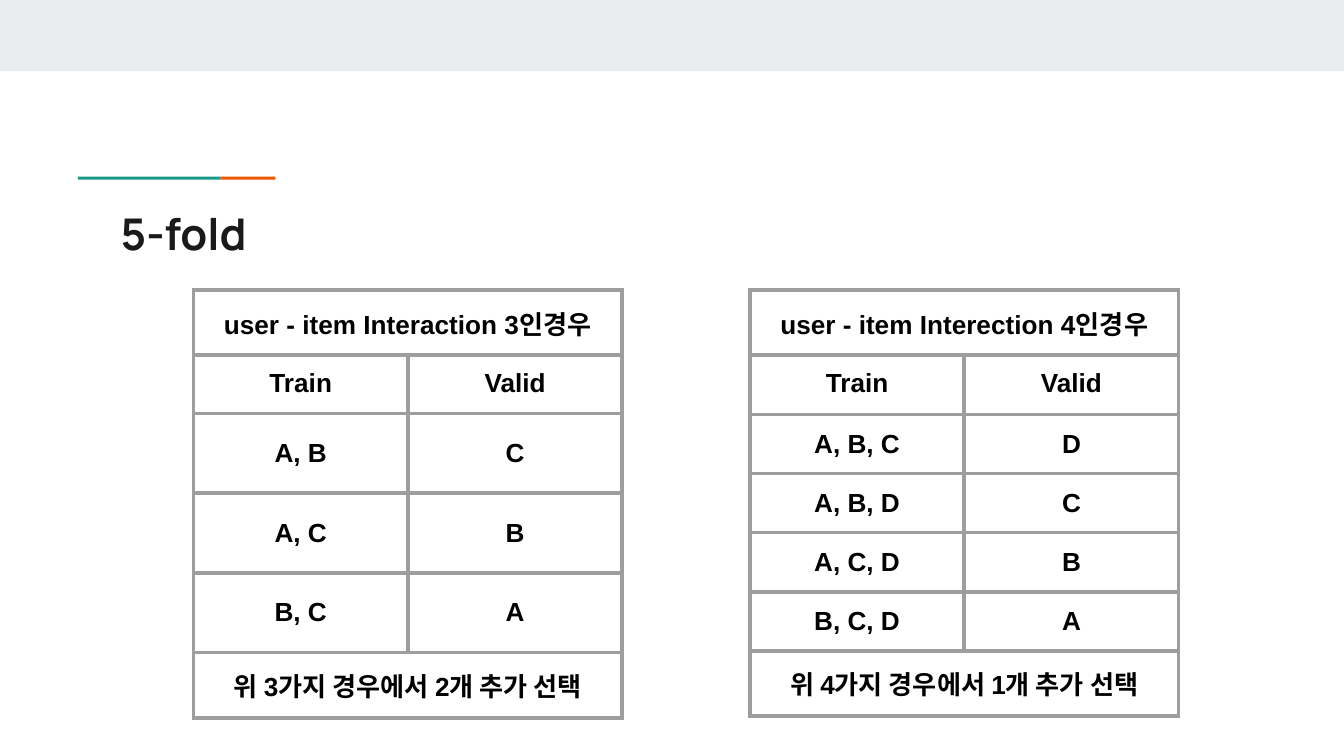
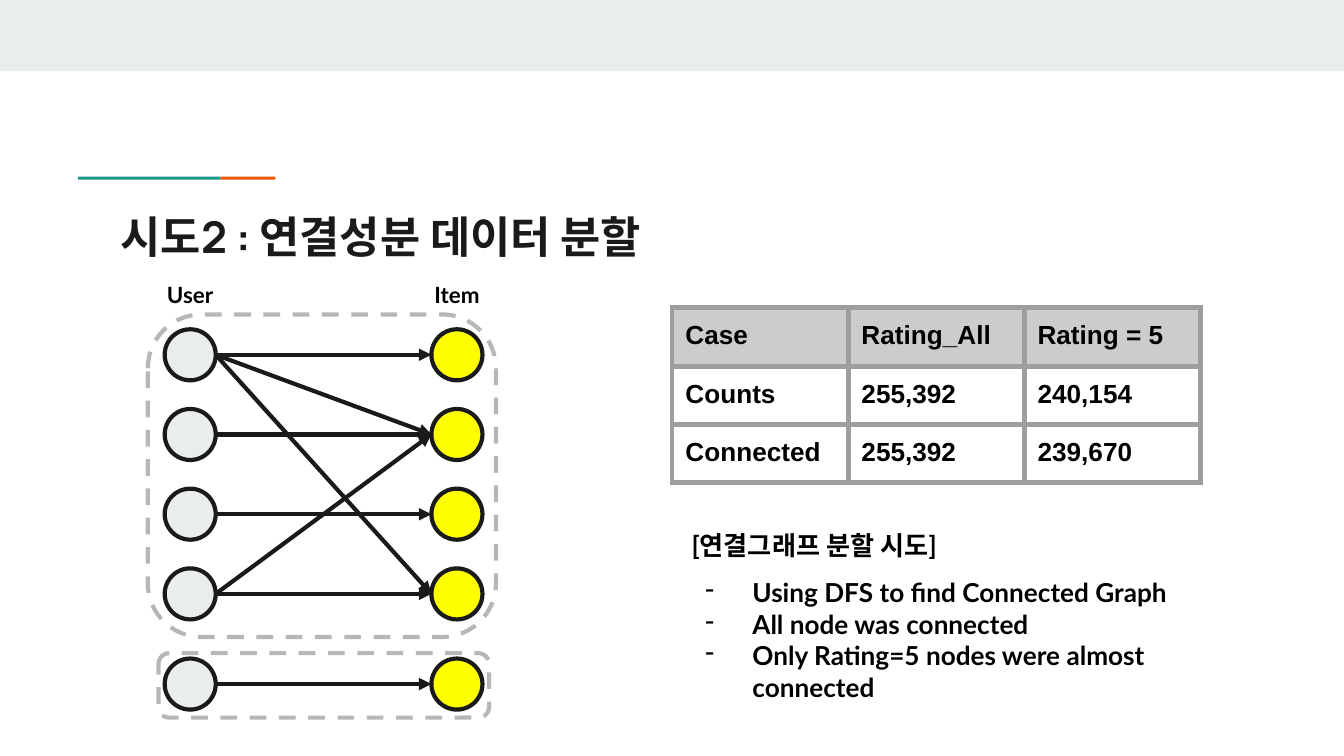
from lxml import etree
from pptx import Presentation
from pptx.dml.color import RGBColor
from pptx.enum import dml, shapes, text
from pptx.oxml import ns
from pptx.util import Emu, Inches, Pt

SLIDE_WIDTH, SLIDE_HEIGHT = Inches(10), Inches(5.625)
COLUMN = SLIDE_WIDTH / 100
ROW = SLIDE_HEIGHT / 56.25

BAND = RGBColor(0xE9, 0xED, 0xEE)
ORANGE = RGBColor(0xEB, 0x56, 0x00)
TEAL = RGBColor(0x1A, 0x99, 0x88)
INK = RGBColor(0x1A, 0x1A, 0x1A)
BLACK = RGBColor(0, 0, 0)
YELLOW = RGBColor(0xFF, 0xFF, 0x00)
HEADER = RGBColor(0xCC, 0xCC, 0xCC)
BORDER = RGBColor(0x9E, 0x9E, 0x9E)
DASH = RGBColor(0xB7, 0xB7, 0xB7)

LEFT, CENTER = text.PP_ALIGN.LEFT, text.PP_ALIGN.CENTER
TOP, MIDDLE = text.MSO_ANCHOR.TOP, text.MSO_ANCHOR.MIDDLE
OVAL = shapes.MSO_SHAPE.OVAL
RECTANGLE = shapes.MSO_SHAPE.RECTANGLE
ROUNDED = shapes.MSO_SHAPE.ROUNDED_RECTANGLE

NODE = 3.8
USER_LEFT, ITEM_LEFT = 12.25, 32.1
NODE_TOPS = [24.5 + 5.93 * i for i in range(4)] + [49]
LINKS = [(0, 0), (0, 1), (1, 1), (2, 2), (0, 3), (3, 3), (4, 4), (3, 1)]


def grid(left, top, width, height):
    return (Emu(round(left * COLUMN)), Emu(round(top * ROW)),
            Emu(round(width * COLUMN)), Emu(round(height * ROW)))


def child(parent, tag, **attributes):
    return etree.SubElement(parent, ns.qn(tag), attributes)


def write(paragraph, words, size=14, font="Arial", color=BLACK, align=LEFT):
    paragraph.alignment = align
    run = paragraph.add_run()
    run.text = words
    run.font.size = Pt(size)
    run.font.name = font
    run.font.bold = True
    run.font.color.rgb = color


def text_area(slide, place, anchor=TOP):
    frame = slide.shapes.add_textbox(*grid(*place)).text_frame
    frame.word_wrap = True
    frame.vertical_anchor = anchor
    frame.margin_left = frame.margin_right = Inches(0.1)
    frame.margin_top = frame.margin_bottom = Inches(0.1)
    return frame


def draw(slide, kind, place, fill=None, line=None, dashed=False):
    figure = slide.shapes.add_shape(kind, *grid(*place))
    figure.shadow.inherit = False
    if fill is None:
        figure.fill.background()
    else:
        figure.fill.solid()
        figure.fill.fore_color.rgb = fill
    if line is None:
        figure.line.fill.background()
    else:
        figure.line.color.rgb = line
        figure.line.width = Pt(2.25)
    if dashed:
        figure.line.dash_style = dml.MSO_LINE.DASH


def arrow(slide, start, end):
    x1, y1, x2, y2 = grid(*start, *end)
    link = slide.shapes.add_connector(shapes.MSO_CONNECTOR.STRAIGHT, x1, y1, x2, y2)
    link.line.color.rgb = INK
    link.line.width = Pt(2.25)
    child(link.line._get_or_add_ln(), "a:tailEnd", type="triangle")
    child(link._element.spPr, "a:effectLst")


def border(cell, width):
    properties = cell._tc.get_or_add_tcPr()
    for side in ("a:lnL", "a:lnR", "a:lnT", "a:lnB"):
        edge = child(properties, side, w=str(Pt(width)))
        child(child(edge, "a:solidFill"), "a:srgbClr", val=str(BORDER))


def grid_table(slide, left, top, column_width, row_heights, rows,
               line=2.25, align=LEFT, header=None, middle_from=None):
    columns = max(len(row) for row in rows)
    place = grid(left, top, column_width * columns, sum(row_heights))
    table = slide.shapes.add_table(len(rows), columns, *place).table
    table.first_row = table.horz_banding = False
    for r, (row, height) in enumerate(zip(rows, row_heights)):
        table.rows[r].height = Emu(round(height * ROW))
        for c in range(columns):
            cell = table.cell(r, c)
            cell.margin_left = cell.margin_right = Inches(0.1)
            cell.margin_top = cell.margin_bottom = Inches(0.1)
            border(cell, line)
            if header is not None and r == 0:
                cell.fill.solid()
                cell.fill.fore_color.rgb = header
            else:
                cell.fill.background()
            if middle_from is not None and r >= middle_from:
                cell.vertical_anchor = MIDDLE
            if c < len(row):
                write(cell.text_frame.paragraphs[0], row[c], align=align)
        if len(row) == 1:
            table.cell(r, 0).merge(table.cell(r, columns - 1))


def fold_table(slide, left, heading, splits, closing, split_height, label_height):
    rows = [(heading,), ("Train", "Valid"), *splits, (closing,)]
    heights = [4.84, label_height] + [split_height] * len(splits) + [4.84]
    grid_table(slide, left, 21.6, 15.95, heights, rows, align=CENTER, middle_from=2)


def bullet(paragraph):
    properties = paragraph._p.get_or_add_pPr()
    properties.set("marL", str(Inches(0.5)))
    properties.set("indent", str(Inches(-0.35)))
    child(child(properties, "a:buClr"), "a:srgbClr", val=str(BLACK))
    child(properties, "a:buChar", char="-")


def titled_slide(deck, title, top):
    slide = deck.slides.add_slide(deck.slide_layouts[6])
    draw(slide, RECTANGLE, (0, 0, 100, 5.3), fill=BAND)
    draw(slide, RECTANGLE, (16.4, 13.15, 4.1, 0.22), fill=ORANGE)
    draw(slide, RECTANGLE, (5.8, 13.15, 10.6, 0.22), fill=TEAL)
    frame = text_area(slide, (8, top, 84.1, 5.9))
    write(frame.paragraphs[0], title, size=23.4, font="Manrope", color=INK)
    return slide


def bipartite_graph(slide):
    for left, color in ((USER_LEFT, BAND), (ITEM_LEFT, YELLOW)):
        for top in NODE_TOPS:
            draw(slide, OVAL, (left, top, NODE, NODE), fill=color, line=INK)
    for user, item in LINKS:
        arrow(slide, (USER_LEFT + NODE, NODE_TOPS[user] + NODE / 2),
              (ITEM_LEFT, NODE_TOPS[item] + NODE / 2))
    for label, left in (("User", USER_LEFT), ("Item", ITEM_LEFT)):
        frame = text_area(slide, (left + NODE / 2 - 4, 20, 8, 3.8), MIDDLE)
        write(frame.paragraphs[0], label, size=12, font="Lato", align=CENTER)
    for component in ((11, 23.4, 25.9, 24), (11.8, 48.6, 24.6, 4.8)):
        draw(slide, ROUNDED, component, line=DASH, dashed=True)


def findings(slide, heading, points):
    frame = text_area(slide, (50, 38.4, 39.3, 15.2))
    opening = frame.paragraphs[0]
    write(opening, heading, font="Lato")
    opening.space_after = Pt(8.5)
    for point in points:
        paragraph = frame.add_paragraph()
        write(paragraph, point, font="Lato")
        bullet(paragraph)


def main():
    deck = Presentation()
    deck.slide_width, deck.slide_height = SLIDE_WIDTH, SLIDE_HEIGHT

    folds = titled_slide(deck, "5-fold", 14.4)
    fold_table(folds, 14.4, "user - item Interaction 3인경우",
               [("A, B", "C"), ("A, C", "B"), ("B, C", "A")],
               "위 3가지 경우에서 2개 추가 선택", 5.93, 4.15)
    fold_table(folds, 55.8, "user - item Interection 4인경우",
               [("A, B, C", "D"), ("A, B, D", "C"), ("A, C, D", "B"), ("B, C, D", "A")],
               "위 4가지 경우에서 1개 추가 선택", 4.4, 4.4)

    components = titled_slide(deck, "시도2 : 연결성분 데이터 분할", 14.6)
    grid_table(components, 50, 22.9, 13.1, [4.2] * 3,
               [("Case", "Rating_All", "Rating = 5"),
                ("Counts", "255,392", "240,154"),
                ("Connected", "255,392", "239,670")],
               line=3, header=HEADER)
    bipartite_graph(components)
    findings(components, " [연결그래프 분할 시도]",
             ["Using DFS to find Connected Graph",
              "All node was connected",
              "Only Rating=5 nodes were almost connected"])

    deck.save("out.pptx")


if __name__ == "__main__":
    main()
